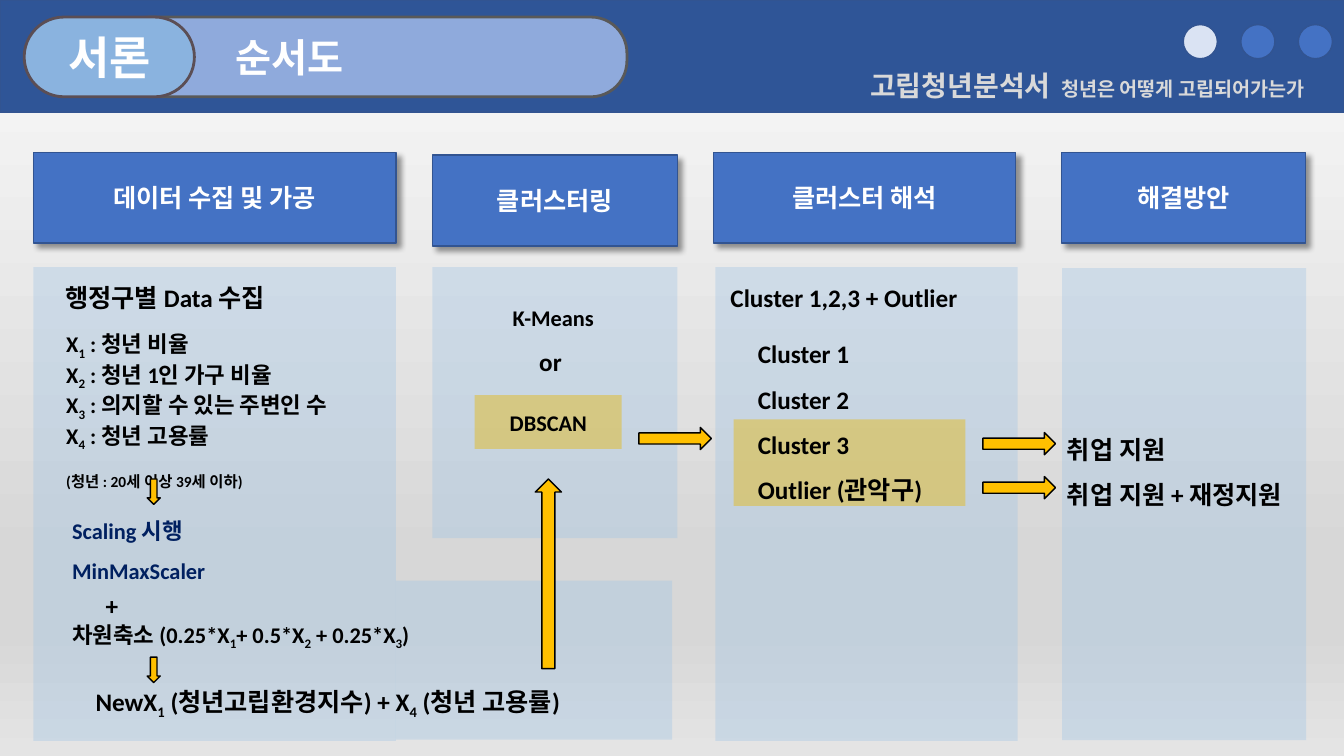
from dataclasses import dataclass

from lxml import etree
from pptx import Presentation
from pptx.dml.color import RGBColor
from pptx.enum.shapes import MSO_SHAPE
from pptx.enum.text import MSO_ANCHOR, MSO_AUTO_SIZE, PP_ALIGN
from pptx.oxml.ns import qn
from pptx.util import Cm, Pt

RECT, ROUND, OVAL = MSO_SHAPE.RECTANGLE, MSO_SHAPE.ROUNDED_RECTANGLE, MSO_SHAPE.OVAL
RIGHT, DOWN, UP = MSO_SHAPE.RIGHT_ARROW, MSO_SHAPE.DOWN_ARROW, MSO_SHAPE.UP_ARROW
LEFT_ALIGN, CENTER = PP_ALIGN.LEFT, PP_ALIGN.CENTER
MIDDLE = MSO_ANCHOR.MIDDLE
GROW = MSO_AUTO_SIZE.SHAPE_TO_FIT_TEXT


@dataclass(frozen=True)
class Theme:
    """Colours, fonts and type sizes of the slide."""
    backdrop: tuple = ((0, "FAFAFA"), (74, "D7D7D7"), (83, "D7D7D7"), (100, "E4E4E4"))
    band: str = "2F5597"
    blue: str = "4472C4"
    edge: str = "325491"
    pale_dot: str = "DAE3F3"
    title_bar: str = "8FAADC"
    title_edge: str = "595959"
    badge: str = "8AB3DF"
    badge_edge: str = "5B4E55"
    panel: str = "9DC3E6"
    gold: str = "FFC000"
    black: str = "000000"
    navy: str = "002060"
    white: str = "FFFFFF"
    grey: str = "D9D9D9"
    display: str = "Lato"
    body: str = "Calibri"
    huge: int = 32
    title: int = 28
    deck_name: int = 20
    large: int = 18
    normal: int = 16
    tagline: int = 14
    small: int = 11


THEME = Theme()


@dataclass(frozen=True)
class Box:
    """A region in centimetres."""
    left: float
    top: float
    width: float
    height: float

    def place(self, x, y, width, height):
        """Turn offsets inside the region into slide lengths."""
        return Cm(self.left + x), Cm(self.top + y), Cm(width), Cm(height)


def add_figure(page, kind, place, fill, line=None, weight=1, alpha=None):
    """Add a flat preset shape."""
    figure = page.shapes.add_shape(kind, *place)
    figure.shadow.inherit = False
    figure.fill.solid()
    figure.fill.fore_color.rgb = RGBColor.from_string(fill)
    if alpha:
        color = figure.element.spPr.find(qn("a:solidFill"))[0]
        etree.SubElement(color, qn("a:alpha"), val=str(alpha * 1000))
    if line:
        figure.line.color.rgb = RGBColor.from_string(line)
        figure.line.width = Pt(weight)
    else:
        figure.line.fill.background()
    return figure


def style(para, size, color=THEME.black, font=THEME.body, align=LEFT_ALIGN):
    """Set the bold type of a paragraph."""
    para.alignment = align
    para.font.name = font
    para.font.size = Pt(size)
    para.font.bold = True
    para.font.color.rgb = RGBColor.from_string(color)


def add_caption(figure, text, size, align=CENTER):
    """Write a white caption inside a shape."""
    figure.text_frame.vertical_anchor = MIDDLE
    para = figure.text_frame.paragraphs[0]
    para.add_run().text = text
    style(para, size, THEME.white, THEME.display, align)


def add_text(page, place, lines, size=THEME.large, color=THEME.black,
             align=LEFT_ALIGN, spacing=None, wrap=True):
    """Add a text box, with subscripts between underscores, and return its paragraphs."""
    frame = page.shapes.add_textbox(*place).text_frame
    frame.word_wrap = wrap
    frame.auto_size = GROW
    for index, line in enumerate(lines):
        para = frame.add_paragraph() if index else frame.paragraphs[0]
        for part, text in enumerate(line.split("_")):
            if text:
                span = para.add_run()
                span.text = text
                if part % 2:
                    span.font._element.set("baseline", "-25000")
        style(para, size, color, align=align)
        if spacing:
            para.line_spacing = spacing
    return frame.paragraphs


def add_arrow(page, kind, place):
    """Add a gold block arrow."""
    add_figure(page, kind, place, THEME.gold, THEME.black)


def add_panel(page, place, fill=THEME.panel, alpha=35):
    """Add a translucent panel."""
    add_figure(page, RECT, place, fill, alpha=alpha)


def add_heading(page, box, title):
    """Add the shadowed heading of a stage."""
    heading = add_figure(page, RECT, box.place(0, 0, box.width, 2.29), THEME.blue, THEME.edge)
    effects = heading.element.spPr.find(qn("a:effectLst"))
    shadow = etree.SubElement(effects, qn("a:outerShdw"), blurRad=str(Pt(4)),
                              dist=str(Pt(4.24)), dir="2700000", algn="tl", rotWithShape="0")
    color = etree.SubElement(shadow, qn("a:srgbClr"), val=THEME.black)
    etree.SubElement(color, qn("a:alpha"), val="40000")
    add_caption(heading, title, THEME.large)


def draw_backdrop(page):
    """Fill the background with a vertical gradient."""
    fill = page.background.fill
    fill.gradient()
    fill.gradient_angle = 270
    stops = page.element.find(".//" + qn("a:gsLst"))
    for stop in list(stops):
        stops.remove(stop)
    for position, color in THEME.backdrop:
        stop = etree.SubElement(stops, qn("a:gs"), pos=str(position * 1000))
        etree.SubElement(stop, qn("a:srgbClr"), val=color)


def draw_banner(page, box):
    """Draw the top band with section, title, deck name and dots."""
    add_figure(page, RECT, box.place(0, 0, box.width, box.height), THEME.band, THEME.edge)
    place = box.place(20.96, 1.19, 12.9, 1.63)
    para = add_text(page, place, ["고립청년분석서"], THEME.deck_name, THEME.grey, CENTER)[0]
    para.font.name = THEME.display
    for text, size in ((" ", THEME.huge), ("청년은 어떻게 고립되어가는가", THEME.tagline)):
        span = para.add_run()
        span.text = text
        span.font.size = Pt(size)
    for index, color in enumerate((THEME.pale_dot, THEME.blue, THEME.blue)):
        add_figure(page, OVAL, box.place(29.82 + 1.45 * index, 0.62, 0.86, 0.86), color, THEME.edge)
    bar = add_figure(page, ROUND, box.place(2.9, 0.43, 12.9, 2.01),
                     THEME.title_bar, THEME.title_edge, 2)
    bar.adjustments[0] = 0.45
    bar.text_frame.margin_left = Cm(2.76)
    add_caption(bar, "순서도", THEME.title, LEFT_ALIGN)
    badge = add_figure(page, ROUND, box.place(0.61, 0.43, 4.29, 2.01),
                       THEME.badge, THEME.badge_edge, 2)
    badge.adjustments[0] = 0.5
    add_caption(badge, "서론", THEME.huge)


def draw_data_stage(page, box):
    """Draw data collection and processing."""
    add_panel(page, box.place(0, 2.89, box.width, 11.94))
    add_panel(page, box.place(box.width, 10.79, 6.96, 4.01))
    add_heading(page, box, "데이터 수집 및 가공")
    add_text(page, box.place(0.56, 3.15, 6.05, 1.02), ["행정구별 Data 수집"], wrap=False)
    variables = ("청년 비율", "청년 1인 가구 비율", "의지할 수 있는 주변인 수", "청년 고용률")
    lines = [f"X_{number}_ : {name}" for number, name in enumerate(variables, 1)]
    lines.append("(청년 : 20세 이상 39세 이하)")
    note = add_text(page, box.place(0.58, 4.36, 8.1, 3.94), lines, THEME.normal)[-1]
    note.font.size = Pt(THEME.small)
    note.space_before = Pt(14)
    add_text(page, box.place(0.73, 8.73, 6.93, 2.18), ["Scaling 시행", "MinMaxScaler"],
             THEME.normal, THEME.navy, spacing=1.5)
    formula = ["+", "차원축소 (0.25*X_1_+ 0.5*X_2_ + 0.25*X_3_)"]
    plus = add_text(page, box.place(0.73, 10.92, 10.74, 1.7), formula, THEME.normal)[0]
    plus.font.size = Pt(THEME.large)
    plus._p.get_or_add_pPr().set("marL", str(Cm(0.84)))
    add_text(page, box.place(1.32, 13.33, 13.77, 1.02),
             ["NewX_1_ (청년고립환경지수) + X_4_ (청년 고용률)"], wrap=False)
    for top in (8.23, 12.72):
        add_arrow(page, DOWN, box.place(2.87, top, 0.33, 0.64))


def draw_clustering_stage(page, box):
    """Draw the choice of clustering method."""
    add_panel(page, box.place(1.06, 6.05, 3.71, 1.35), THEME.gold, 65)
    add_panel(page, box.place(0, 2.82, box.width, 6.83))
    add_heading(page, box, "클러스터링")
    add_text(page, box.place(1.37, 6.28, 3.1, 0.94), ["DBSCAN"], THEME.normal, align=CENTER)
    add_text(page, box.place(1.37, 3.63, 3.35, 0.94), ["K-Means"], THEME.normal, align=CENTER)
    add_text(page, box.place(2.44, 4.7, 1.14, 1.02), ["or"], wrap=False)
    add_arrow(page, UP, box.place(2.59, 8.16, 0.66, 4.78))
    add_arrow(page, RIGHT, box.place(5.2, 6.86, 1.83, 0.56))


def draw_interpretation_stage(page, box):
    """Draw the clusters and the highlighted pair."""
    add_panel(page, box.place(0.51, 6.73, 5.84, 2.18), THEME.gold, 65)
    add_panel(page, box.place(0.05, 2.89, box.width, 11.94))
    add_heading(page, box, "클러스터 해석")
    add_text(page, box.place(0.18, 3.15, 7.39, 1.02), ["Cluster 1,2,3 + Outlier"])
    clusters = ["Cluster 1", "Cluster 2", "Cluster 3", "Outlier (관악구)"]
    add_text(page, box.place(0.87, 4.19, 5.08, 4.75), clusters, spacing=1.5, wrap=False)
    for top in (7.06, 8.17):
        add_arrow(page, RIGHT, box.place(6.79, top, 1.83, 0.56))


def draw_solution_stage(page, box):
    """Draw the support for each cluster."""
    add_panel(page, box.place(0.02, 2.92, box.width, 11.89))
    add_heading(page, box, "해결방안")
    add_text(page, box.place(-0.11, 6.6, 6.4, 2.44), ["취업 지원", "취업 지원 + 재정지원"],
             spacing=1.5, wrap=False)


def main():
    """Build and save the deck."""
    deck = Presentation()
    deck.slide_width, deck.slide_height = Cm(33.87), Cm(19.05)
    page = deck.slides.add_slide(deck.slide_layouts[6])
    draw_backdrop(page)
    draw_data_stage(page, Box(0.84, 3.84, 9.14, 14.83))
    draw_clustering_stage(page, Box(10.9, 3.91, 6.17, 9.65))
    draw_interpretation_stage(page, Box(17.98, 3.84, 7.62, 14.83))
    draw_solution_stage(page, Box(26.75, 3.84, 6.15, 14.81))
    draw_banner(page, Box(0, 0, 33.87, 2.82))
    deck.save("out.pptx")


if __name__ == "__main__":
    main()
